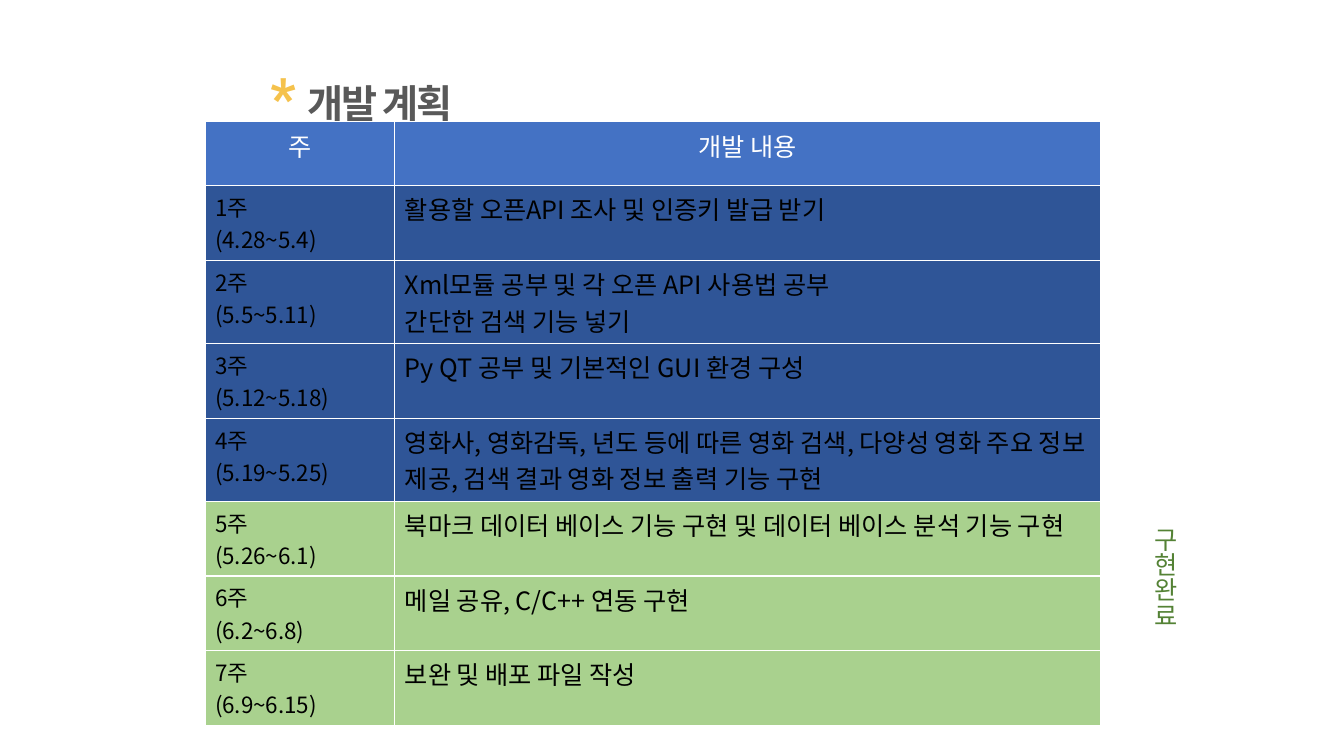
"""Builds the weekly development plan slide."""
from lxml import etree
from pptx import Presentation, util as u
from pptx.dml.color import RGBColor
from pptx.enum import text
from pptx.oxml.ns import qn

COLORS = {
    "white": "FFFFFF", "black": "000000", "star": "F5C24C", "heading": "595959",
    "header": "4472C4", "done": "2F5597", "ahead": "A9D18E", "status": "548235",
}
HANGUL = "Noto Sans CJK KR"
LATIN = "Roboto"
COLUMNS, ROWS = 80, 45
HEADINGS = ("주", "개발 내용")
WEEKS = [
    ("4.28~5.4", "활용할 오픈API 조사 및 인증키 발급 받기", "done"),
    ("5.5~5.11", "Xml모듈 공부 및 각 오픈 API 사용법 공부\n간단한 검색 기능 넣기", "done"),
    ("5.12~5.18", "Py QT 공부 및 기본적인 GUI 환경 구성", "done"),
    ("5.19~5.25", "영화사, 영화감독, 년도 등에 따른 영화 검색, 다양성 영화 주요 정보 제공, "
                  "검색 결과 영화 정보 출력 기능 구현", "done"),
    ("5.26~6.1", "북마크 데이터 베이스 기능 구현 및 데이터 베이스 분석 기능 구현", "ahead"),
    ("6.2~6.8", "메일 공유, C/C++ 연동 구현", "ahead"),
    ("6.9~6.15", "보완 및 배포 파일 작성", "ahead"),
]


class PlanSlide:
    """Holds the style, the grid and the current slide."""

    def __init__(self, deck):
        self.column = deck.slide_width / COLUMNS
        self.row = deck.slide_height / ROWS
        self.slide = deck.slides.add_slide(deck.slide_layouts[5])

    def across(self, columns):
        return u.Emu(round(columns * self.column))

    def down(self, rows):
        return u.Emu(round(rows * self.row))

    def box(self, left, top, width, height):
        return self.across(left), self.down(top), self.across(width), self.down(height)

    def style(self, run, size, color, bold=False, latin=HANGUL):
        run.font.size = u.Pt(size)
        run.font.bold = bold
        run.font.name = latin
        run.font.color.rgb = RGBColor.from_string(COLORS[color])
        etree.SubElement(run.font._element, qn("a:ea"), typeface=HANGUL)

    def title(self, parts, *place):
        heading = self.slide.shapes.title
        heading.left, heading.top, heading.width, heading.height = self.box(*place)
        frame = heading.text_frame
        frame.auto_size = text.MSO_AUTO_SIZE.NONE
        frame.vertical_anchor = text.MSO_ANCHOR.TOP
        frame.margin_top = u.Inches(0.08)
        line = frame.paragraphs[0]
        line.alignment = text.PP_ALIGN.LEFT
        line.line_spacing = 1.0
        for wording, size, color in parts:
            run = line.add_run()
            run.text = wording
            self.style(run, size, color, bold=True, latin=LATIN)
            run.font._element.set("spc", "-150")

    def cell(self, cell, wording, fill, size, color, align=text.PP_ALIGN.LEFT):
        cell.text_frame.text = wording
        for line in cell.text_frame.paragraphs:
            line.alignment = align
            for run in line.runs:
                self.style(run, size, color)
        borders = cell._tc.get_or_add_tcPr()
        for side in ("a:lnL", "a:lnR", "a:lnT", "a:lnB"):
            edge = etree.SubElement(borders, qn(side), w=str(u.Pt(1)))
            paint = etree.SubElement(edge, qn("a:solidFill"))
            etree.SubElement(paint, qn("a:srgbClr"), val=COLORS["white"])
        cell.fill.solid()
        cell.fill.fore_color.rgb = RGBColor.from_string(COLORS[fill])

    def schedule(self, left, top, widths, header_height, week_height):
        height = header_height + week_height * len(WEEKS)
        plan = self.slide.shapes.add_table(
            len(WEEKS) + 1, len(widths), *self.box(left, top, sum(widths), height)).table
        for column, width in zip(plan.columns, widths):
            column.width = self.across(width)
        for index, row in enumerate(plan.rows):
            row.height = self.down(week_height if index else header_height)
        for index, heading in enumerate(HEADINGS):
            self.cell(plan.cell(0, index), heading, "header", 18, "white", text.PP_ALIGN.CENTER)
        for week, (dates, task, state) in enumerate(WEEKS, 1):
            self.cell(plan.cell(week, 0), f"{week}주\n({dates})", state, 16, "black")
            self.cell(plan.cell(week, 1), task, state, 18, "black")

    def vertical_label(self, wording, size, color, *place):
        frame = self.slide.shapes.add_textbox(*self.box(*place)).text_frame
        frame.text = wording
        frame.word_wrap = False
        frame.auto_size = text.MSO_AUTO_SIZE.SHAPE_TO_FIT_TEXT
        frame._txBody.bodyPr.set("vert", "eaVert")
        self.style(frame.paragraphs[0].runs[0], size, color)


def main():
    deck = Presentation()
    deck.slide_width, deck.slide_height = u.Inches(13.33), u.Inches(7.5)
    plan = PlanSlide(deck)
    plan.title([("* ", 40, "star"), ("개발 계획", 28, "heading")], 15.5, 3.25, 46.75, 4)
    plan.schedule(12.2, 7.25, (11.3, 42), 3.8, 4.45)
    plan.vertical_label("구현완료", 18, "status", 67.55, 30.8, 3, 7)
    deck.save("out.pptx")


if __name__ == "__main__":
    main()
